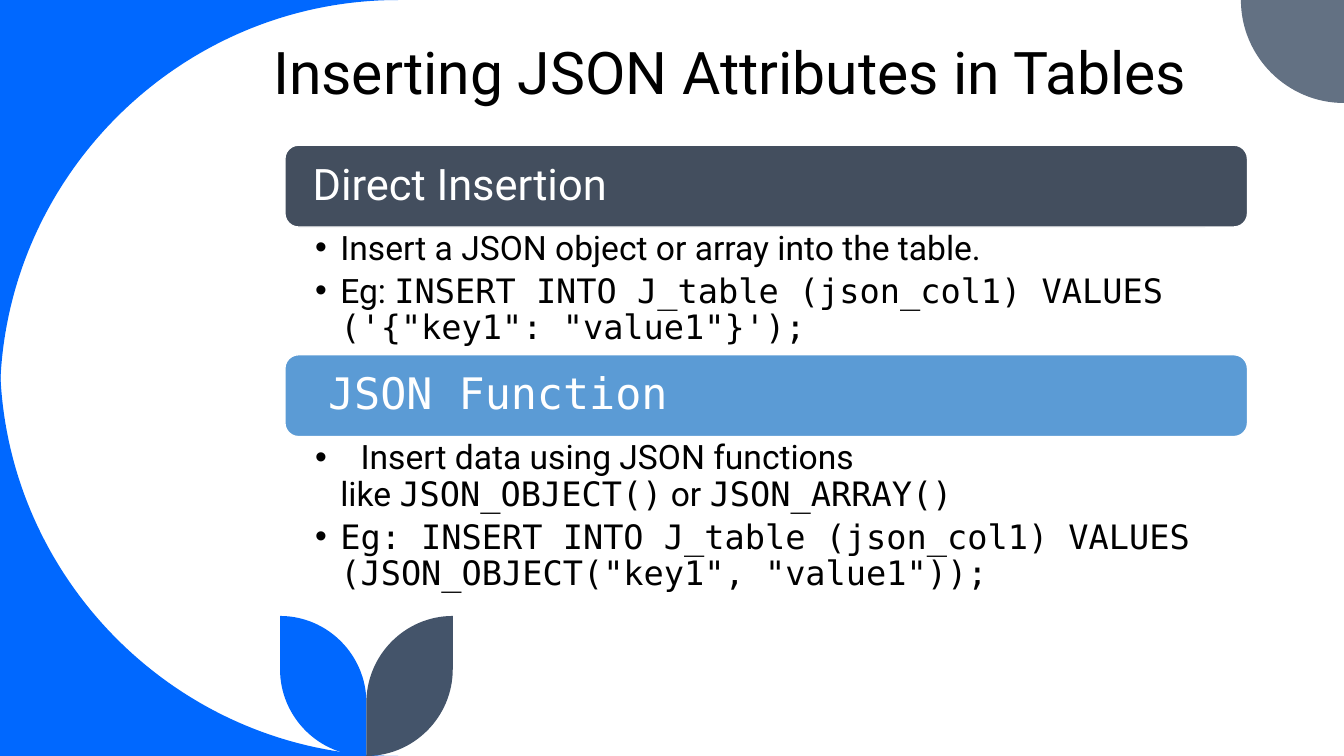
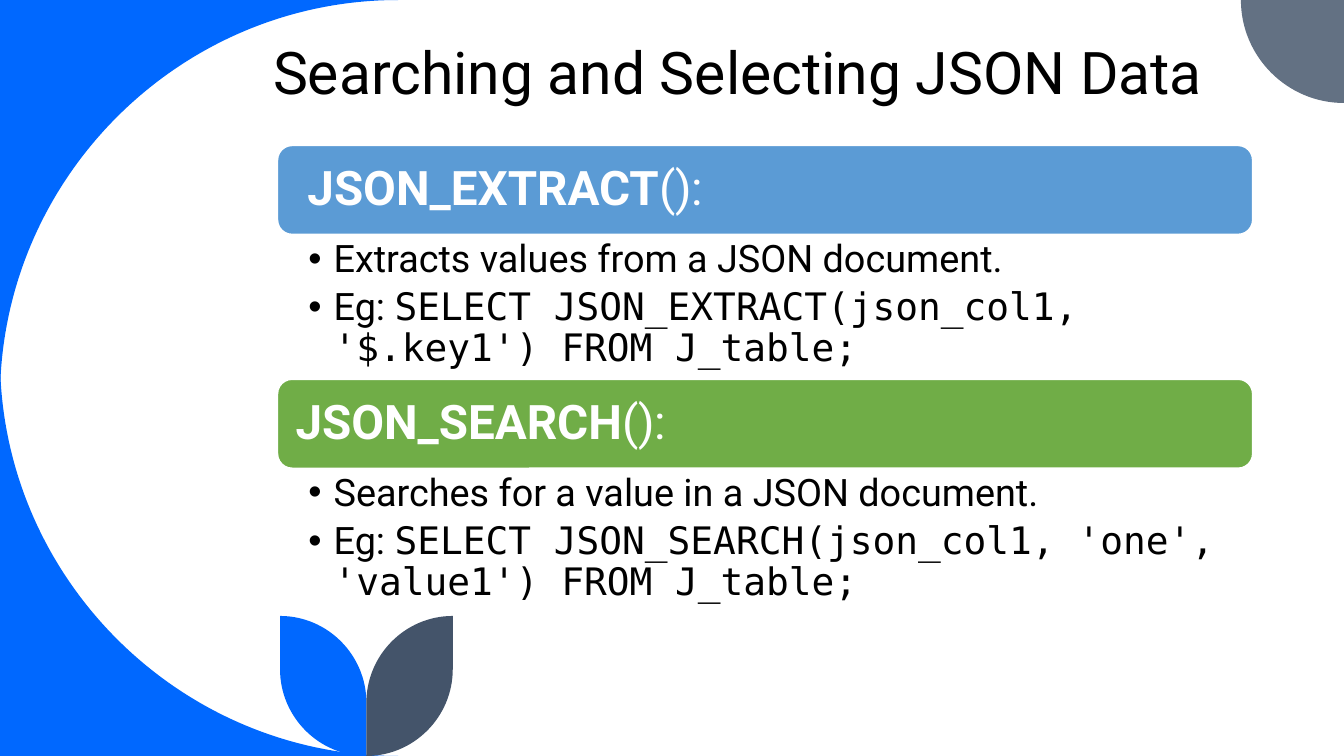
"""Builds two slides about working with JSON columns in tables."""
from lxml.etree import SubElement
from pptx import Presentation
from pptx.dml.color import RGBColor
from pptx.enum.shapes import MSO_SHAPE as Shape
from pptx.enum.text import MSO_ANCHOR as Anchor, PP_ALIGN as Align
from pptx.oxml.ns import qn
from pptx.util import Pt

COLORS = {
    "blue": "0068FF", "gray": "637183", "slate": "44546A", "charcoal": "434E5E",
    "sky": "5B9BD5", "green": "70AD47", "black": "000000", "white": "FFFFFF",
}
SANS, BOLD, MONO = ("Roboto", False), ("Roboto", True), ("DejaVu Sans Mono", False)
WIDTH, HEIGHT = 960, 540
SECTION_TOP = 103.7
BULLET_INDENT = 18
ARC_PULL = 0.55
HARD_SPACE = chr(160)

INSERTING = {
    "title": "Inserting JSON Attributes in Tables",
    "left": 203.5, "width": 687.6, "bar": 58.5, "outline": 1,
    "heading_size": 31, "body_size": 24, "insets": (21.6, 3, 17.3, 3),
    "sections": [
        {"fill": "charcoal", "inset": 17, "height": 91.2,
         "heading": [(SANS, "Direct Insertion")],
         "bullets": [
             [(SANS, "Insert a JSON object or array into the table.")],
             [(SANS, "Eg: "),
              (MONO, "INSERT INTO J_table (json_col1) VALUES ('{\"key1\": \"value1\"}');")],
         ]},
        {"fill": "sky", "inset": 28, "height": 116,
         "heading": [(MONO, "JSON Function")],
         "bullets": [
             [(MONO, " "), (SANS, "Insert data using JSON functions like" + HARD_SPACE),
              (MONO, "JSON_OBJECT()"), (SANS, HARD_SPACE + "or" + HARD_SPACE),
              (MONO, "JSON_ARRAY()")],
             [(MONO, "Eg: INSERT INTO J_table (json_col1) VALUES "
                     "(JSON_OBJECT(\"key1\", \"value1\"));")],
         ]},
    ],
}
SEARCHING = {
    "title": "Searching and Selecting JSON Data",
    "left": 198, "width": 697, "bar": 64, "outline": 1.5,
    "heading_size": 34, "body_size": 27, "insets": (22.3, 3.6, 18.7, 3.6),
    "sections": [
        {"fill": "sky", "inset": 18.5, "height": 103,
         "heading": [(BOLD, "JSON_EXTRACT"), (SANS, "():")],
         "bullets": [
             [(SANS, "Extracts values from a JSON document.")],
             [(SANS, "Eg:" + HARD_SPACE),
              (MONO, "SELECT JSON_EXTRACT(json_col1, '$.key1') FROM J_table;")],
         ]},
        {"fill": "green", "inset": 10, "height": 103,
         "heading": [(BOLD, "JSON_SEARCH"), (SANS, "():")],
         "bullets": [
             [(SANS, "Searches for a value in a JSON document.")],
             [(SANS, "Eg:" + HARD_SPACE),
              (MONO, "SELECT JSON_SEARCH(json_col1, 'one', 'value1') FROM J_table;")],
         ]},
    ],
}


def color(name):
    return RGBColor.from_string(COLORS[name])


def quarter_arc(start, corner, end):
    def pull(point):
        return tuple(p + (c - p) * ARC_PULL for p, c in zip(point, corner))
    return [pull(start), pull(end), end]


def join_curve(lines):
    curve = lines[0].makeelement(qn("a:cubicBezTo"), {})
    lines[0].addprevious(curve)
    for line in lines:
        curve.append(line[0])
        line.getparent().remove(line)


def add_outline(page, start, segments, fill):
    builder = page.shapes.build_freeform(*map(Pt, start))
    builder.add_line_segments(
        [(Pt(x), Pt(y)) for segment in segments for x, y in segment], close=True)
    shape = builder.convert_to_shape()
    lines = iter(list(shape._element.iter(qn("a:lnTo"))))
    for segment in segments:
        group = [next(lines) for _ in segment]
        if len(group) == 3:
            join_curve(group)
    shape.shadow.inherit = False
    shape.fill.solid()
    shape.fill.fore_color.rgb = color(fill)
    shape.line.fill.background()


def add_wedge(page, start, bend, end, corner, fill):
    add_outline(page, start, [quarter_arc(start, bend, end), [corner]], fill)


def add_leaf(page, outer, stem, fill):
    top, shoulder = 440, 62
    start, tip = (outer, HEIGHT - shoulder), (outer, top)
    low, high = (stem, HEIGHT), (stem, top + shoulder)
    add_outline(page, start, [
        quarter_arc(start, (outer, HEIGHT), low), [high],
        quarter_arc(high, (stem, top), tip)], fill)


def add_decoration(page):
    radius, small = 284.4, 73.6
    right, low = WIDTH - small, HEIGHT - radius
    add_wedge(page, (radius, 0), (0, 0), (0, radius), (0, 0), "blue")
    add_wedge(page, (0, low), (0, HEIGHT), (radius, HEIGHT), (0, HEIGHT), "blue")
    add_wedge(page, (right, 0), (right, small), (WIDTH, small), (WIDTH, 0), "gray")
    add_leaf(page, 200, 261.7, "blue")
    add_leaf(page, 323.4, 261.7, "slate")


def add_spans(para, spans, size, ink):
    for (font_name, bold), text in spans:
        span = para.add_run()
        span.text = text
        span.font.name = font_name
        span.font.bold = bold
        span.font.size = Pt(size)
        span.font.color.rgb = color(ink)


def set_frame(frame, insets, anchor=Anchor.TOP):
    frame.word_wrap = True
    frame.vertical_anchor = anchor
    (frame.margin_left, frame.margin_top,
     frame.margin_right, frame.margin_bottom) = map(Pt, insets)


def add_text_box(page, left, top, width, height, insets):
    box = page.shapes.add_textbox(Pt(left), Pt(top), Pt(width), Pt(height))
    set_frame(box.text_frame, insets)
    return box.text_frame


def add_title(page, text):
    frame = add_text_box(page, 188, 22, 688, 80, (7.2, 3.6, 7.2, 3.6))
    add_spans(frame.paragraphs[0], [(SANS, text)], 42, "black")


def add_heading_bar(page, content, section, top):
    bar = page.shapes.add_shape(
        Shape.ROUNDED_RECTANGLE, Pt(content["left"]), Pt(top),
        Pt(content["width"]), Pt(content["bar"]))
    bar.shadow.inherit = False
    bar.fill.solid()
    bar.fill.fore_color.rgb = color(section["fill"])
    bar.line.color.rgb = color("white")
    bar.line.width = Pt(content["outline"])
    set_frame(bar.text_frame, (section["inset"], 0, 0, 0), Anchor.MIDDLE)
    para = bar.text_frame.paragraphs[0]
    para.alignment = Align.LEFT
    para.line_spacing = 0.9
    add_spans(para, section["heading"], content["heading_size"], "white")


def set_bullet(para):
    properties = para._p.get_or_add_pPr()
    properties.set("marL", str(Pt(BULLET_INDENT)))
    properties.set("indent", str(-Pt(BULLET_INDENT)))
    SubElement(properties, qn("a:buFont"), typeface="Arial")
    SubElement(properties, qn("a:buChar"), char="•")


def add_bullets(page, content, section, top):
    frame = add_text_box(page, content["left"], top, content["width"],
                         section["height"], content["insets"])
    size = content["body_size"]
    for index, spans in enumerate(section["bullets"]):
        para = frame.add_paragraph() if index else frame.paragraphs[0]
        set_bullet(para)
        para.level = 1
        para.line_spacing = 0.9
        para.space_after = Pt(0.2 * size)
        add_spans(para, spans, size, "black")


def add_content_page(deck, content):
    page = deck.slides.add_slide(deck.slide_layouts[6])
    add_decoration(page)
    add_title(page, content["title"])
    top = SECTION_TOP
    for section in content["sections"]:
        add_heading_bar(page, content, section, top)
        top += content["bar"]
        add_bullets(page, content, section, top)
        top += section["height"]


def main():
    deck = Presentation()
    deck.slide_width, deck.slide_height = Pt(WIDTH), Pt(HEIGHT)
    for content in (INSERTING, SEARCHING):
        add_content_page(deck, content)
    deck.save("out.pptx")


if __name__ == "__main__":
    main()
